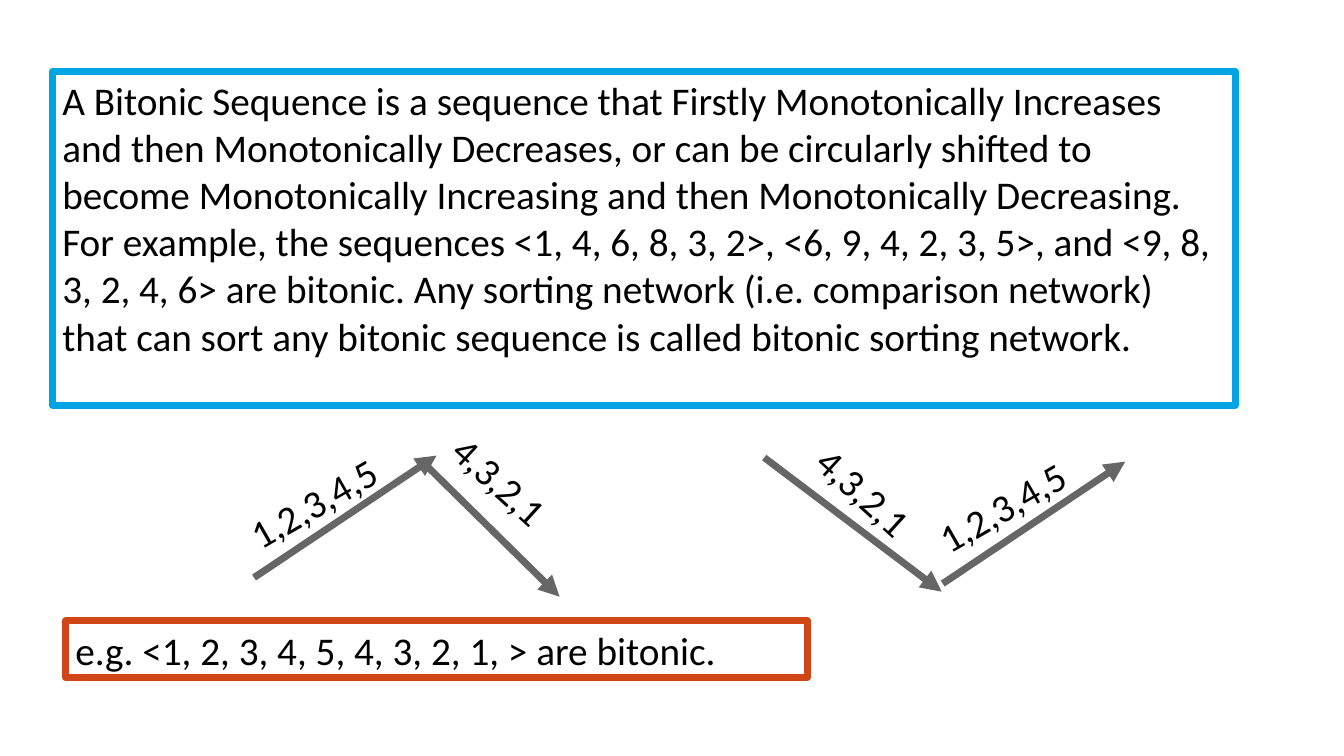
"""Build a slide that defines bitonic sequences and sketches their two shapes."""
from lxml import etree
from pptx import Presentation
from pptx.dml.color import RGBColor
from pptx.enum.shapes import MSO_CONNECTOR, MSO_SHAPE
from pptx.enum.text import MSO_ANCHOR, PP_ALIGN
from pptx.oxml.ns import qn
from pptx.util import Inches, Pt

STRAIGHT = MSO_CONNECTOR.STRAIGHT
RECTANGLE = MSO_SHAPE.RECTANGLE
TOP = MSO_ANCHOR.TOP
LEFT = PP_ALIGN.LEFT

THEME = {
    "font": "Calibri",
    "size": Pt(28),
    "line": Pt(5),
    "text": RGBColor.from_string("000000"),
    "definition": RGBColor.from_string("02A5E3"),
    "arrow": RGBColor.from_string("666666"),
    "example": RGBColor.from_string("D04617"),
}

STATEMENTS = [
    ("definition", (0.52, 0.71, 11.73, 3.31),
     "A Bitonic Sequence is a sequence that Firstly Monotonically Increases and then "
     "Monotonically Decreases, or can be circularly shifted to become Monotonically "
     "Increasing and then Monotonically Decreasing. For example, the sequences "
     "<1, 4, 6, 8, 3, 2>, <6, 9, 4, 2, 3, 5>, and <9, 8, 3, 2, 4, 6> are bitonic. "
     "Any sorting network (i.e. comparison network) that can sort any bitonic sequence "
     "is called bitonic sorting network."),
    ("example", (0.65, 6.16, 7.36, 0.56),
     "e.g. <1, 2, 3, 4, 5, 4, 3, 2, 1, > are bitonic."),
]

DIRECTIONS = {
    "rising": ("1,2,3,4,5", 2.31, 330.1),
    "falling": ("4,3,2,1", 2.24, 42.3),
}
LABEL_HEIGHT = 0.56

TRENDS = [
    ("rising", (2.52, 5.73), (4.33, 4.52), (2.27, 4.52)),
    ("falling", (4.19, 4.58), (5.55, 5.92), (4.2, 4.81)),
    ("falling", (7.58, 4.54), (9.34, 5.87), (7.81, 4.92)),
    ("rising", (9.35, 5.79), (11.16, 4.58), (9.1, 4.56)),
]


def write(owner, text):
    frame = owner.text_frame
    frame.word_wrap = True
    frame.vertical_anchor = TOP
    paragraph = frame.paragraphs[0]
    paragraph.text = text
    paragraph.alignment = LEFT
    paragraph.font.name = THEME["font"]
    paragraph.font.size = THEME["size"]
    paragraph.font.color.rgb = THEME["text"]


def outline(owner, role):
    owner.line.color.rgb = THEME[role]
    owner.line.width = THEME["line"]


def add_statement(slide, role, bounds, text):
    statement = slide.shapes.add_shape(RECTANGLE, *map(Inches, bounds))
    statement.shadow.inherit = False
    statement.fill.background()
    outline(statement, role)
    write(statement, text)


def add_trend(slide, direction, start, end, corner):
    arrow = slide.shapes.add_connector(STRAIGHT, *map(Inches, start + end))
    outline(arrow, "arrow")
    etree.SubElement(arrow.line._get_or_add_ln(), qn("a:tailEnd"), type="triangle")
    etree.SubElement(arrow._element.spPr, qn("a:effectLst"))

    values, width, angle = DIRECTIONS[direction]
    label = slide.shapes.add_textbox(*map(Inches, corner + (width, LABEL_HEIGHT)))
    label.rotation = angle
    write(label, values)


def main():
    deck = Presentation()
    deck.slide_width, deck.slide_height = Inches(13.33), Inches(7.5)
    slide = deck.slides.add_slide(deck.slide_layouts[6])
    for statement in STATEMENTS:
        add_statement(slide, *statement)
    for trend in TRENDS:
        add_trend(slide, *trend)
    deck.save("out.pptx")


if __name__ == "__main__":
    main()
